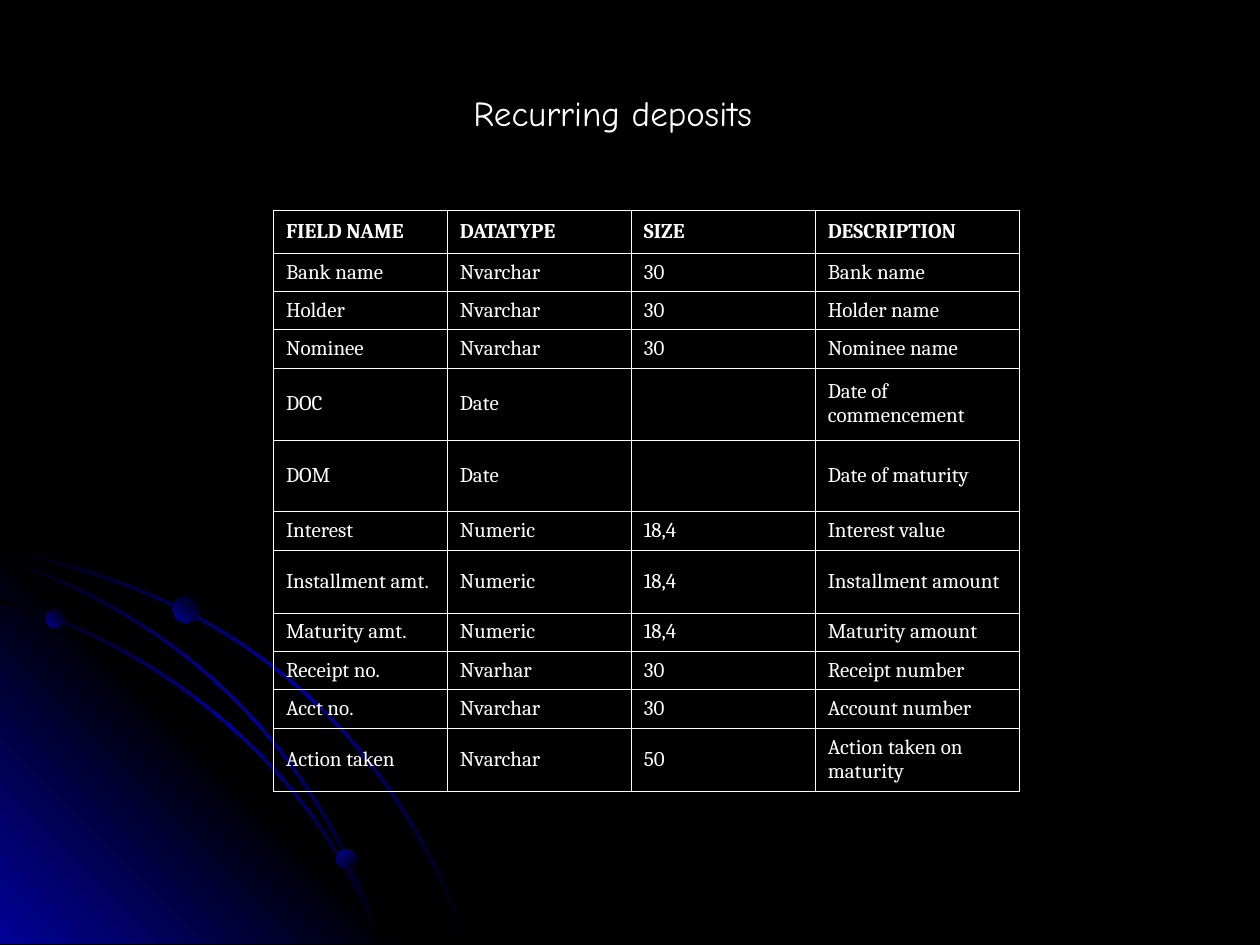
from pptx import Presentation
from pptx.dml.color import RGBColor
from pptx.enum.shapes import MSO_SHAPE as Shape
from pptx.enum.text import MSO_ANCHOR as Anchor, MSO_AUTO_SIZE as AutoSize
from pptx.oxml import parse_xml
from pptx.oxml.ns import nsdecls, qn
from pptx.util import Inches, Pt

BLACK, BLUE, WHITE = "000000", "010199", "FFFFFF"
TOWARD_LOWER_LEFT, TOWARD_UPPER_LEFT = 135, 225

ARC_THICKNESS, ARC_STEPS = 0.03, 24
OUTER_ARC = [(0, 4.36), (1.75, 4.7), (3.04, 5.65), (3.71, 7.49)]
INNER_ARC = [(0, 4.76), (1.35, 5.15), (2.53, 6.15), (3.02, 7.49)]
MIDDLE_ARC = [(0, 4.43), (1.35, 4.87), (2.5, 5.85), (3.02, 7.49)]
CORNER = [(3.22, 7.49), (0, 7.49), (0, 4.27)]
BALLS = [
    (0.36, 4.83, 0.15, TOWARD_LOWER_LEFT),
    (2.67, 6.74, 0.16, TOWARD_UPPER_LEFT),
    (1.37, 4.73, 0.21, TOWARD_LOWER_LEFT),
]

TABLE_LEFT, TABLE_TOP, TABLE_HEIGHT = 2.17, 1.67, 4.61
COLUMN_WIDTHS = [1.38, 1.46, 1.46, 1.62]
FIELDS = [
    ("FIELD NAME", "DATATYPE", "SIZE", "DESCRIPTION"),
    ("Bank name", "Nvarchar", "30", "Bank name"),
    ("Holder", "Nvarchar", "30", "Holder name"),
    ("Nominee", "Nvarchar", "30", "Nominee name"),
    ("DOC", "Date", "", "Date of commencement"),
    ("DOM", "Date", "", "Date of maturity"),
    ("Interest", "Numeric", "18,4", "Interest value"),
    ("Installment amt.", "Numeric", "18,4", "Installment amount"),
    ("Maturity amt.", "Numeric", "18,4", "Maturity amount"),
    ("Receipt no.", "Nvarhar", "30", "Receipt number"),
    ("Acct no.", "Nvarchar", "30", "Account number"),
    ("Action taken", "Nvarchar", "50", "Action taken on maturity"),
]
SPECIAL_HEIGHTS = {"FIELD NAME": 0.34, "DOC": 0.57, "DOM": 0.57,
                   "Installment amt.": 0.5, "Action taken": 0.5}
TITLE_FORMAT = {"name": "Comic Neue", "size": Pt(20)}
CELL_FORMAT = {"name": "Cambria", "size": Pt(12)}


def color(value):
    """Turn a hex string into a colour."""
    return RGBColor.from_string(value)


def set_attributes(target, settings):
    """Set each named attribute to its value."""
    for name, value in settings.items():
        setattr(target, name, value)


def apply_gradient(shape, colors, angle):
    """Fill a shape with evenly spaced colours along a clockwise angle."""
    shape.shadow.inherit = False
    shape.line.fill.background()
    shape.fill.gradient()
    shape.fill.gradient_angle = 360 - angle
    stops = shape._element.spPr.find(qn("a:gradFill")).find(qn("a:gsLst"))
    for stop in list(stops):
        stops.remove(stop)
    for index, value in enumerate(colors):
        position = index * 100000 // (len(colors) - 1)
        stops.append(parse_xml(
            f'<a:gs {nsdecls("a")} pos="{position}"><a:srgbClr val="{value}"/></a:gs>'))


def add_outline(slide, points, colors, angle):
    """Draw a closed gradient outline through points given in inches."""
    start, *others = [(Inches(x), Inches(y)) for x, y in points]
    builder = slide.shapes.build_freeform(*start)
    builder.add_line_segments(others, close=True)
    apply_gradient(builder.convert_to_shape(), colors, angle)


def curve_point(controls, t):
    """Return the point at fraction t of a cubic Bezier curve."""
    weights = [(1 - t) ** 3, 3 * t * (1 - t) ** 2, 3 * t ** 2 * (1 - t), t ** 3]
    return [sum(weight * value for weight, value in zip(weights, axis))
            for axis in zip(*controls)]


def add_arc(slide, controls):
    """Draw a thin arc that turns from level to upright and fades at its ends."""
    upper_edge, lower_edge = [], []
    for step in range(ARC_STEPS + 1):
        t = step / ARC_STEPS
        x, y = curve_point(controls, t)
        shift_x, shift_y = ARC_THICKNESS / 2 * t, ARC_THICKNESS / 2 * (1 - t)
        upper_edge.append((x + shift_x, y - shift_y))
        lower_edge.append((x - shift_x, y + shift_y))
    add_outline(slide, upper_edge + lower_edge[::-1],
                [BLACK, BLUE, BLACK], TOWARD_UPPER_LEFT)


def add_ball(slide, left, top, size, angle):
    """Draw a small gradient ball."""
    shape = slide.shapes.add_shape(
        Shape.OVAL, Inches(left), Inches(top), Inches(size), Inches(size))
    apply_gradient(shape, [BLACK, BLUE], angle)


def add_corner_decoration(slide):
    """Draw the glowing corner with its arcs and balls, from back to front."""
    add_arc(slide, OUTER_ARC)
    add_outline(slide, CORNER, [BLUE, BLACK, BLUE], TOWARD_LOWER_LEFT)
    add_arc(slide, INNER_ARC)
    add_arc(slide, MIDDLE_ARC)
    for ball in BALLS:
        add_ball(slide, *ball)


def add_white_text(paragraph, text, settings):
    """Add a white run with the given font settings."""
    run = paragraph.add_run()
    run.text = text
    set_attributes(run.font, settings)
    run.font.color.rgb = color(WHITE)


def add_title(slide, text):
    """Place the slide title."""
    shape = slide.shapes.add_textbox(Inches(3.66), Inches(0.67), Inches(2.66), Inches(0.44))
    frame = shape.text_frame
    set_attributes(frame, {"word_wrap": False, "auto_size": AutoSize.SHAPE_TO_FIT_TEXT,
                           "vertical_anchor": Anchor.MIDDLE})
    add_white_text(frame.paragraphs[0], text, TITLE_FORMAT)


def add_borders(cell):
    """Draw a thin white line on each side of a cell."""
    properties = cell._tc.get_or_add_tcPr()
    for index, side in enumerate("LRTB"):
        properties.insert(index, parse_xml(
            f'<a:ln{side} {nsdecls("a")} w="{Pt(0.45)}"><a:solidFill>'
            f'<a:srgbClr val="{WHITE}"/></a:solidFill></a:ln{side}>'))


def fill_cell(cell, text, bold):
    """Write and format one table cell."""
    cell.vertical_anchor = Anchor.MIDDLE
    cell.fill.background()
    add_borders(cell)
    if text:
        add_white_text(cell.text_frame.paragraphs[0], text, {**CELL_FORMAT, "bold": bold})


def add_field_table(slide):
    """Add the field table; ordinary rows share the height left by special ones."""
    ordinary_count = len(FIELDS) - len(SPECIAL_HEIGHTS)
    ordinary_height = (TABLE_HEIGHT - sum(SPECIAL_HEIGHTS.values())) / ordinary_count
    table = slide.shapes.add_table(
        len(FIELDS), len(COLUMN_WIDTHS), Inches(TABLE_LEFT), Inches(TABLE_TOP),
        Inches(sum(COLUMN_WIDTHS)), Inches(TABLE_HEIGHT)).table
    set_attributes(table, {"first_row": False, "horz_banding": False})
    for column, width in zip(table.columns, COLUMN_WIDTHS):
        column.width = Inches(width)
    for index, (row, texts) in enumerate(zip(table.rows, FIELDS)):
        row.height = Inches(SPECIAL_HEIGHTS.get(texts[0], ordinary_height))
        for cell, text in zip(row.cells, texts):
            fill_cell(cell, text, bold=index == 0)


def main():
    """Build and save the slide."""
    presentation = Presentation()
    set_attributes(presentation, {"slide_width": Inches(10), "slide_height": Inches(7.5)})
    slide = presentation.slides.add_slide(presentation.slide_layouts[6])
    slide.background.fill.solid()
    slide.background.fill.fore_color.rgb = color(BLACK)
    add_corner_decoration(slide)
    add_title(slide, "Recurring deposits")
    add_field_table(slide)
    presentation.save("out.pptx")


if __name__ == "__main__":
    main()
